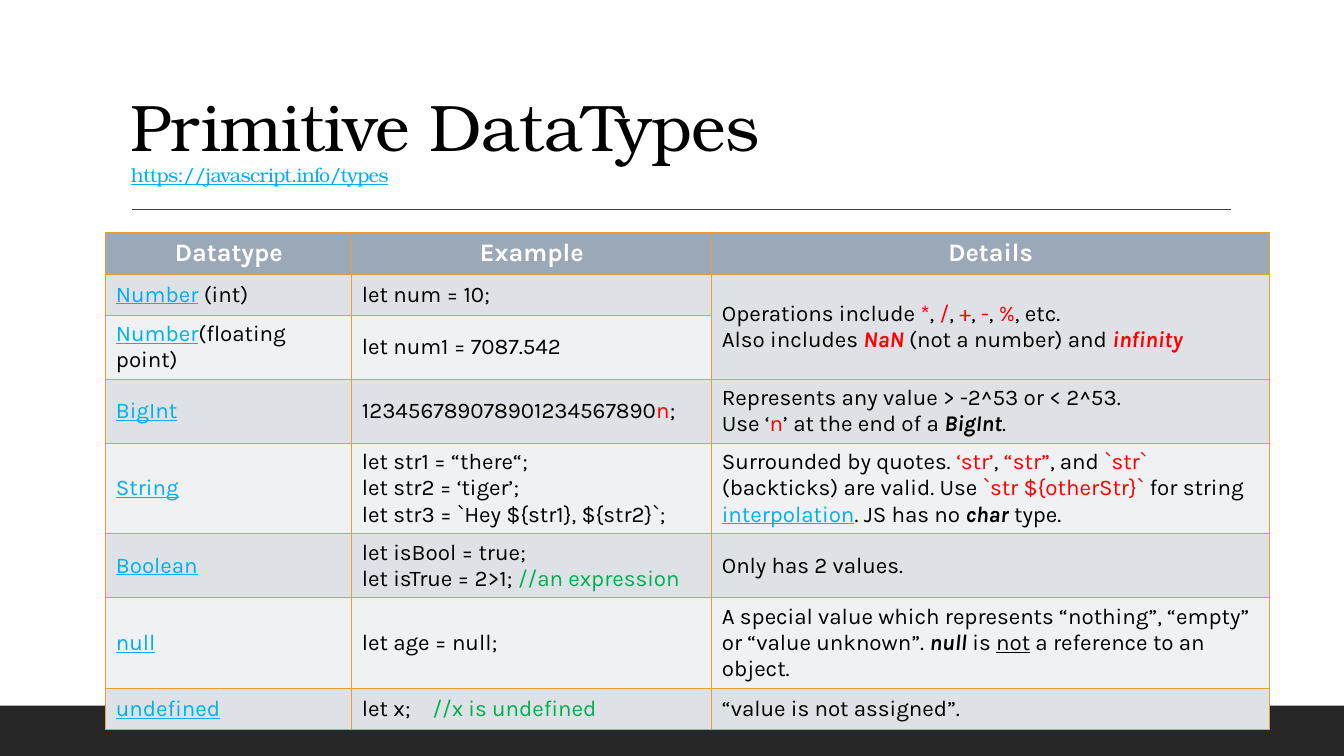
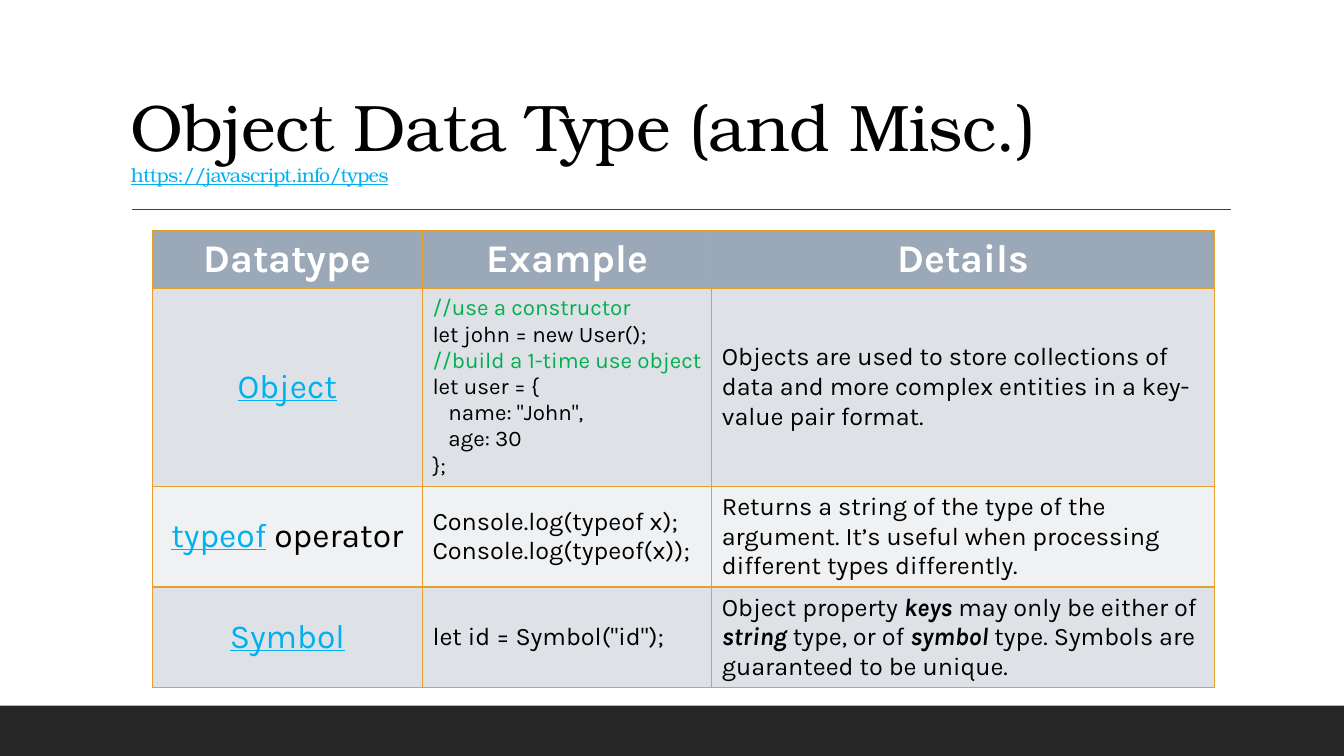
from lxml import etree
from pptx import Presentation
from pptx.dml.color import RGBColor
from pptx.enum import shapes, text
from pptx.oxml import ns
from pptx.util import Inches, Pt

COLORS = {
    "black": "000000", "white": "FFFFFF", "band": "262626", "rule": "404040",
    "border": "E6A02E", "header": "9BA8B7", "odd": "DEE1E6", "even": "EFF1F3",
    "link": "00B0F0", "red": "FF0000", "green": "00B050",
}
TITLE_FONT, BODY_FONT = "TeX Gyre Bonum", "Karla"
LINK = "https://javascript.info/types"
HEADINGS = ["Datatype", "Example", "Details"]

STYLES = {
    "plain": {},
    "link": {"color": "link", "underline": True},
    "red": {"color": "red"},
    "green": {"color": "green"},
    "key": {"bold": True, "italic": True},
    "alert": {"color": "red", "bold": True, "italic": True},
    "under": {"underline": True},
    "head": {"color": "white", "bold": True},
}

PRIMITIVE_ROWS = [
    [
        [[("Number", "link"), " (int)"]],
        ["let num = 10;"],
        [
            ["Operations include ", ("*", "red"), ", ", ("/", "red"), ", ", ("+", "red"),
             ", ", ("-", "red"), ", ", ("%", "red"), ", etc."],
            ["Also includes ", ("NaN ", "alert"), "(not a number) and ", ("infinity", "alert")],
        ],
    ],
    [
        [[("Number", "link"), "(floating point)"]],
        ["let num1 = 7087.542"],
        None,
    ],
    [
        [[("BigInt", "link")]],
        [["123456789078901234567890", ("n", "red"), ";"]],
        [
            "Represents any value > -2^53 or < 2^53.",
            ["Use ‘", ("n", "red"), "’ at the end of a ", ("BigInt", "key"), "."],
        ],
    ],
    [
        [[("String", "link")]],
        ["let str1 = “there“;", "let str2 = ‘tiger’;", "let str3 = `Hey ${str1}, ${str2}`;"],
        [["Surrounded by quotes. ", ("‘str’", "red"), ", ", ("“str”", "red"), ", and ",
          ("`str`", "red"), " (backticks) are valid. Use ", ("`str ${otherStr}`", "red"),
          " for string ", ("interpolation", "link"), ". JS has no ", ("char", "key"), " type."]],
    ],
    [
        [[("Boolean", "link")]],
        ["let isBool = true;", ["let isTrue = 2>1; ", ("//an expression", "green")]],
        ["Only has 2 values."],
    ],
    [
        [[("null", "link")]],
        ["let age = null;"],
        [["A special value which represents “nothing”, “empty” or “value unknown”. ",
          ("null", "key"), " is ", ("not", "under"), " a reference to an object."]],
    ],
    [
        [[("undefined", "link")]],
        [["let x;\t", ("//x is undefined", "green")]],
        ["“value is not assigned”."],
    ],
]

OBJECT_ROWS = [
    [
        [[("Object", "link")]],
        [
            [("//use a constructor", "green")],
            "let john = new User();",
            [("//build a 1-time use object", "green")],
            "let user = {",
            '   name: "John",',
            "   age: 30",
            "};",
        ],
        ["Objects are used to store collections of data and more complex entities "
         "in a key-value pair format."],
    ],
    [
        [[("typeof", "link"), " operator"]],
        ["Console.log(typeof x);", "Console.log(typeof(x));"],
        ["Returns a string of the type of the argument. It’s useful when processing "
         "different types differently."],
    ],
    [
        [[("Symbol", "link")]],
        ['let id = Symbol("id");'],
        [["Object property ", ("keys", "key"), " may only be either of ", ("string", "key"),
          " type, or of ", ("symbol", "key"),
          " type. Symbols are guaranteed to be unique."]],
    ],
]

SLIDES = [
    {
        "title": "Primitive DataTypes", "left": 1.05, "top": 2.31,
        "widths": [2.44, 3.57, 5.53],
        "heights": [0.41, 0.41, 0.62, 0.62, 0.88, 0.62, 0.88, 0.41],
        "head_size": 18, "sizes": [(16, 16, 16)] * 7, "center_names": False,
        "rows": PRIMITIVE_ROWS,
    },
    {
        "title": "Object Data Type (and Misc.)", "left": 1.51, "top": 2.29,
        "widths": [2.68, 2.87, 4.99],
        "heights": [0.56, 1.92, 0.98, 0.98],
        "head_size": 28, "sizes": [(24, 16, 18), (24, 18, 18), (24, 18, 18)],
        "center_names": True,
        "rows": OBJECT_ROWS,
    },
]


def rgb(name):
    return RGBColor.from_string(COLORS[name])


def format_span(span, size, font_name, color="black", bold=False, italic=False, underline=False):
    font = span.font
    font.size, font.name = Pt(size), font_name
    font.bold, font.italic, font.underline = bold, italic, underline
    font.color.rgb = rgb(color)


def add_tab_stop(para, position):
    tabs = etree.SubElement(para._p.get_or_add_pPr(), ns.qn("a:tabLst"))
    etree.SubElement(tabs, ns.qn("a:tab"), pos=str(position), algn="l")


def add_frame(page, title):
    band = page.shapes.add_shape(
        shapes.MSO_SHAPE.RECTANGLE, 0, Inches(7), Inches(13.33), Inches(0.5))
    band.shadow.inherit = False
    band.fill.solid()
    band.fill.fore_color.rgb = rgb("band")
    band.line.fill.background()

    rule = page.shapes.add_connector(
        shapes.MSO_CONNECTOR.STRAIGHT, Inches(1.31), Inches(2.08), Inches(12.21), Inches(2.08))
    rule.line.color.rgb = rgb("rule")
    rule.line.width = Pt(1)
    etree.SubElement(rule._element.spPr, ns.qn("a:effectLst"))

    box = page.shapes.add_textbox(Inches(1.2), Inches(0.31), Inches(11), Inches(1.59))
    frame = box.text_frame
    frame.word_wrap = True
    frame.vertical_anchor = text.MSO_ANCHOR.BOTTOM
    para = frame.paragraphs[0]
    para.text = title + "\v" + LINK
    para.line_spacing = 0.9
    title_span, link_span = para.runs
    format_span(title_span, 47, TITLE_FONT)
    format_span(link_span, 14, TITLE_FONT, **STYLES["link"])
    for span in para.runs:
        span.font._element.set("spc", "-50")


def add_borders(cell):
    props = cell._tc.get_or_add_tcPr()
    for side in ("lnL", "lnR", "lnT", "lnB"):
        line = etree.SubElement(props, ns.qn("a:" + side), w=str(Pt(1)))
        fill = etree.SubElement(line, ns.qn("a:solidFill"))
        etree.SubElement(fill, ns.qn("a:srgbClr"), val=COLORS["border"])


def fill_cell(cell, paragraphs, size, centered):
    cell.vertical_anchor = text.MSO_ANCHOR.MIDDLE
    frame = cell.text_frame
    for index, content in enumerate(paragraphs):
        para = frame.paragraphs[0] if index == 0 else frame.add_paragraph()
        para.alignment = text.PP_ALIGN.CENTER if centered else text.PP_ALIGN.LEFT
        spans = [content] if isinstance(content, str) else content
        for item in spans:
            words, style = (item, "plain") if isinstance(item, str) else item
            if "\t" in words:
                add_tab_stop(para, Inches(0.7))
            span = para.add_run()
            span.text = words
            format_span(span, size, BODY_FONT, **STYLES[style])


def add_types_table(page, data):
    rows = [[[[(name, "head")]] for name in HEADINGS]] + data["rows"]
    sizes = [(data["head_size"],) * len(HEADINGS)] + data["sizes"]
    widths, heights = data["widths"], data["heights"]
    table = page.shapes.add_table(
        len(rows), len(widths), Inches(data["left"]), Inches(data["top"]),
        Inches(sum(widths)), Inches(sum(heights))).table
    table.first_row = table.horz_banding = False
    for column, width in zip(table.columns, widths):
        column.width = Inches(width)
    for r, row in enumerate(rows):
        table.rows[r].height = Inches(heights[r])
        shade = "header" if r == 0 else "odd" if r % 2 else "even"
        for c, paragraphs in enumerate(row):
            cell = table.cell(r, c)
            add_borders(cell)
            cell.fill.solid()
            cell.fill.fore_color.rgb = rgb(shade)
            if paragraphs is None:
                table.cell(r - 1, c).merge(cell)
            else:
                centered = r == 0 or (c == 0 and data["center_names"])
                fill_cell(cell, paragraphs, sizes[r][c], centered)


def main():
    deck = Presentation()
    deck.slide_width, deck.slide_height = Inches(13.33), Inches(7.5)
    for data in SLIDES:
        page = deck.slides.add_slide(deck.slide_layouts[6])
        add_frame(page, data["title"])
        add_types_table(page, data)
    deck.save("out.pptx")


if __name__ == "__main__":
    main()
